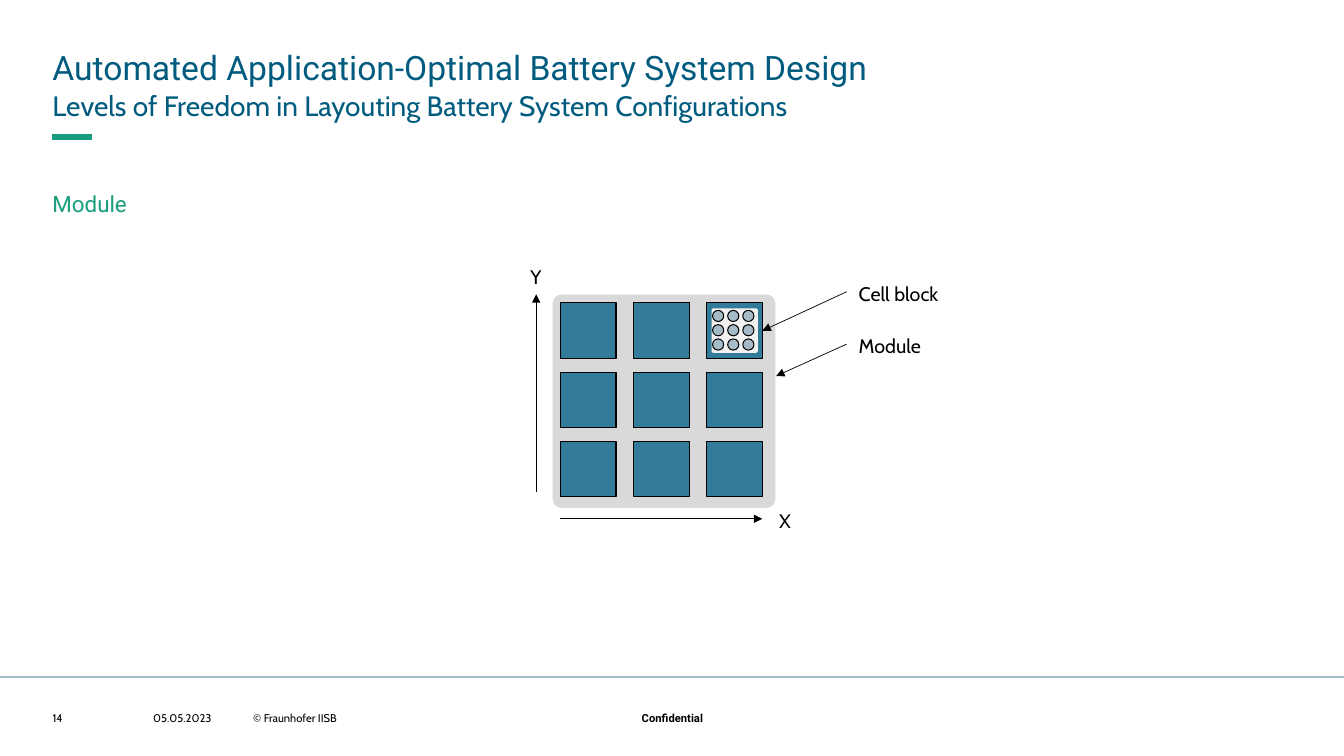
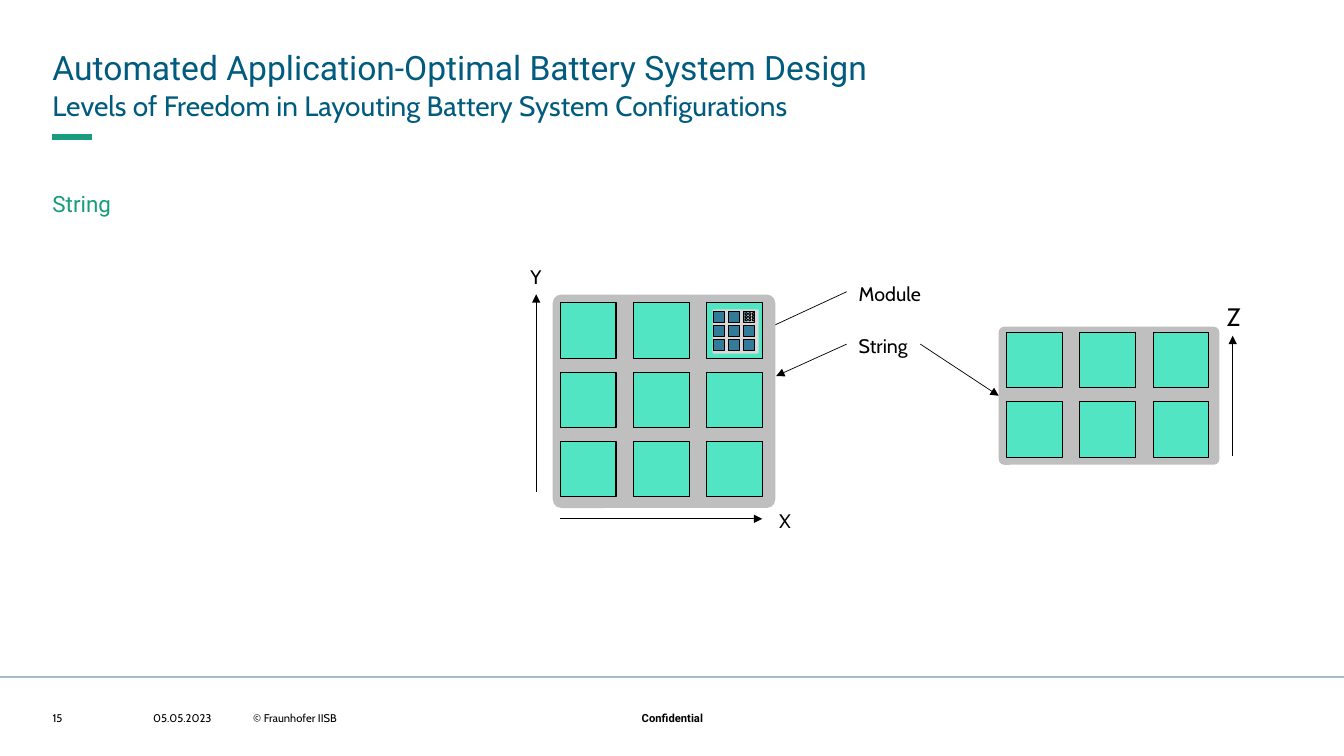
from dataclasses import dataclass

import pptx
import pptx.dml.color
import pptx.enum.shapes
import pptx.enum.text
import pptx.oxml.ns
import pptx.util
from lxml import etree

Pt = pptx.util.Pt
Shape = pptx.enum.shapes.MSO_SHAPE
Align = pptx.enum.text.PP_ALIGN
Anchor = pptx.enum.text.MSO_ANCHOR
qn = pptx.oxml.ns.qn

TOP, LEFT, BOTTOM, RIGHT = range(4)


@dataclass(frozen=True)
class Theme:
    ink: str = "000000"
    title: str = "005B7F"
    accent: str = "179C7D"
    mist: str = "A6BBC8"
    block: str = "337C99"
    module: str = "52E5C3"
    plate_pale: str = "F2F2F2"
    plate_light: str = "D9D9D9"
    plate_dark: str = "BFBFBF"
    head_font: str = "Roboto"
    body_font: str = "Cabin"
    title_size: float = 24
    subtitle_size: float = 20
    axis_size: float = 18
    section_size: float = 16
    label_size: float = 14
    footer_size: float = 8
    outline: float = 0.75
    arrow_width: float = 0.5
    label_spacing: float = 19.6


class Board:
    def __init__(self, deck, theme):
        self.deck = deck
        self.theme = theme
        self.page = None

    def new_page(self, number, section):
        theme = self.theme
        self.page = self.deck.slides.add_slide(self.deck.slide_layouts[6])
        self.line((37.5, 98), (66, 98), theme.accent, 4)
        self.line((0, 483.8), (960, 483.8), theme.mist, 1.5)
        headings = (
            (31, 30, "Automated Application-Optimal Battery System Design",
             theme.title_size, theme.head_font, theme.title),
            (61.2, 25, "Levels of Freedom in Layouting Battery System Configurations",
             theme.subtitle_size, theme.body_font, theme.title),
            (134, 20, section, theme.section_size, theme.head_font, theme.accent),
        )
        for top, height, text, size, font, color in headings:
            self.text((37.5, top, 884, height), text, size, font, color, spacing=1.1)
        footers = ((37.5, 57, number), (109.4, 57, "05.05.2023"), (180.9, 232, "© Fraunhofer IISB"))
        for left, width, text in footers:
            self.text((left, 508.3, width, 9.4), text, theme.footer_size, anchor=Anchor.MIDDLE)
        self.text((423.4, 508.3, 113.8, 9.4), "Confidential", theme.footer_size,
                  theme.head_font, align=Align.CENTER, bold=True)

    def text(self, area, text, size, font=None, color=None, align=Align.LEFT,
             anchor=Anchor.TOP, spacing=None, indent=0, bold=False):
        box = self.page.shapes.add_textbox(*map(Pt, area))
        frame = box.text_frame
        frame.word_wrap = True
        frame.vertical_anchor = anchor
        frame.margin_left = Pt(indent)
        frame.margin_top = frame.margin_right = frame.margin_bottom = 0
        frame.text = text
        para = frame.paragraphs[0]
        para.alignment = align
        para.line_spacing = spacing
        span = para.runs[0]
        span.font.size = Pt(size)
        span.font.name = font or self.theme.body_font
        span.font.bold = bold
        span.font.color.rgb = pptx.dml.color.RGBColor.from_string(color or self.theme.ink)
        return box

    def label(self, top, width, text):
        return self.text((604.8, top, width, 28), text, self.theme.label_size,
                         anchor=Anchor.MIDDLE, spacing=Pt(self.theme.label_spacing), indent=8.6)

    def axis_label(self, left, top, text):
        self.text((left, top, 37.4, 28), text, self.theme.label_size, align=Align.CENTER,
                  anchor=Anchor.MIDDLE, spacing=Pt(self.theme.label_spacing))

    def line(self, start, end, color, width):
        line = self.page.shapes.add_connector(
            pptx.enum.shapes.MSO_CONNECTOR.STRAIGHT, *map(Pt, start + end))
        line.line.color.rgb = pptx.dml.color.RGBColor.from_string(color)
        line.line.width = Pt(width)
        etree.SubElement(line._element.spPr, qn("a:effectLst"))
        return line

    def arrow(self, start, end):
        arrow = self.line(start, end, self.theme.ink, self.theme.arrow_width)
        etree.SubElement(arrow.line._get_or_add_ln(), qn("a:tailEnd"), type="triangle")
        return arrow

    def leader(self, label, end, side=LEFT):
        start = (label.left.pt + (label.width.pt if side == RIGHT else 0),
                 label.top.pt + label.height.pt / 2)
        leader = self.arrow(start, end)
        leader.begin_connect(label, side)
        return leader

    def shape(self, kind, area, fill, outlined=True):
        shape = self.page.shapes.add_shape(kind, *map(Pt, area))
        shape.shadow.inherit = False
        shape.fill.solid()
        shape.fill.fore_color.rgb = pptx.dml.color.RGBColor.from_string(fill)
        if outlined:
            shape.line.color.rgb = pptx.dml.color.RGBColor.from_string(self.theme.ink)
            shape.line.width = Pt(self.theme.outline)
        else:
            shape.line.fill.background()
        return shape

    def plate(self, area, fill):
        plate = self.shape(Shape.ROUNDED_RECTANGLE, area, fill, outlined=False)
        plate.adjustments[0] = 0.04
        return plate

    def grid(self, kind, origin, pitch, size, fill, rows=3, columns=3):
        return [[self.shape(kind, (origin[0] + column * pitch[0], origin[1] + row * pitch[1],
                                   size, size), fill)
                 for column in range(columns)] for row in range(rows)]

    def large_grid(self, origin, fill, rows=3):
        return self.grid(Shape.RECTANGLE, origin, (52.3, 49.4), 39.7, fill, rows)

    def front_view(self, plate_fill, cell_fill):
        self.arrow((400.3, 370.6), (544.5, 370.6))
        self.arrow((383, 351.2), (383, 210.2))
        self.axis_label(364.2, 182.3, "Y")
        self.axis_label(542, 356.6, "X")
        self.plate((394.8, 210.4, 159, 152.5), plate_fill)
        return self.large_grid((400.3, 216.4), cell_fill)[0][-1]


def draw_module(board):
    theme = board.theme
    board.new_page("14", "Module")
    block_label = board.label(194.4, 84, "Cell block")
    module_label = board.label(231.8, 89, "Module")
    board.leader(module_label, (554.4, 268.6))
    corner = board.front_view(theme.plate_light, theme.block)
    board.plate((508.3, 220.3, 33, 31.7), theme.plate_pale)
    board.grid(Shape.FLOWCHART_CONNECTOR, (509, 221.7), (10.8, 10.2), 8, theme.mist)
    board.leader(block_label, (544.6, 236.3)).end_connect(corner, RIGHT)


def draw_string(board):
    theme = board.theme
    board.new_page("15", "String")
    side_plate = board.plate((713.4, 233.4, 157.6, 98.6), theme.plate_dark)
    board.arrow((880.5, 325.6), (880.5, 239.8))
    board.text((876.3, 217.4, 31.7, 20.2), "Z", theme.axis_size,
               spacing=Pt(theme.label_spacing))
    module_label = board.label(194.4, 84, "Module")
    string_label = board.label(231.8, 52.6, "String")
    board.leader(string_label, (554.4, 268.6))
    module_leader = board.leader(module_label, (544.6, 236.3))
    corner = board.front_view(theme.plate_dark, theme.module)
    module_leader.end_connect(corner, RIGHT)
    board.plate((509, 221, 33, 31.7), theme.plate_light)
    board.grid(Shape.RECTANGLE, (509.7, 222.2), (10.8, 10.2), 8, theme.block)
    board.plate((532.1, 223.2, 6.5, 6.5), theme.plate_pale)
    board.grid(Shape.FLOWCHART_CONNECTOR, (532.3, 223.4), (2.5, 2.1), 1.6, theme.mist)
    board.large_grid((719.1, 237.4), theme.module, rows=2)
    board.leader(string_label, (713.4, 282.7), RIGHT).end_connect(side_plate, LEFT)


def main():
    deck = pptx.Presentation()
    deck.slide_width = Pt(960)
    deck.slide_height = Pt(540)
    board = Board(deck, Theme())
    draw_module(board)
    draw_string(board)
    deck.save("out.pptx")


if __name__ == "__main__":
    main()
